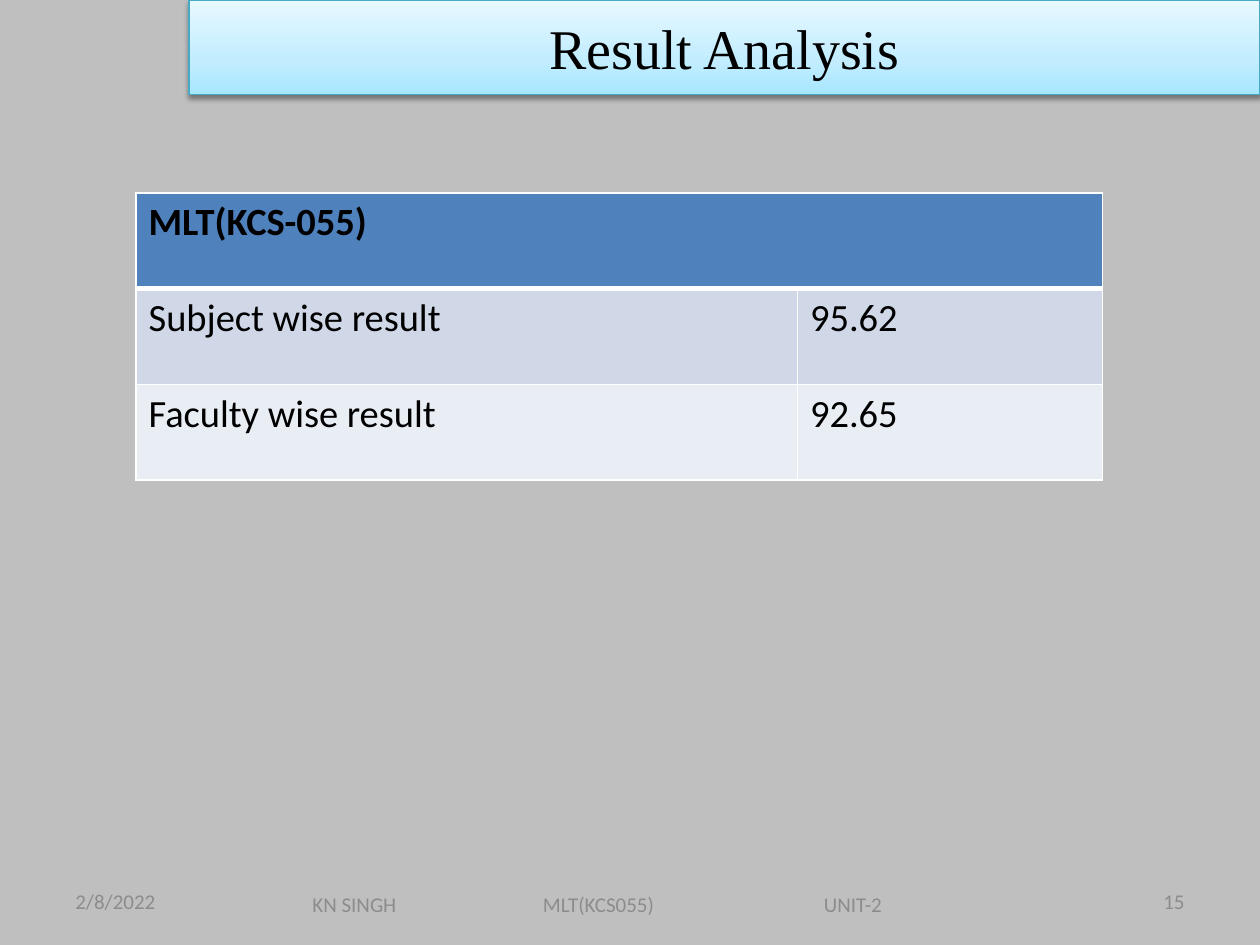
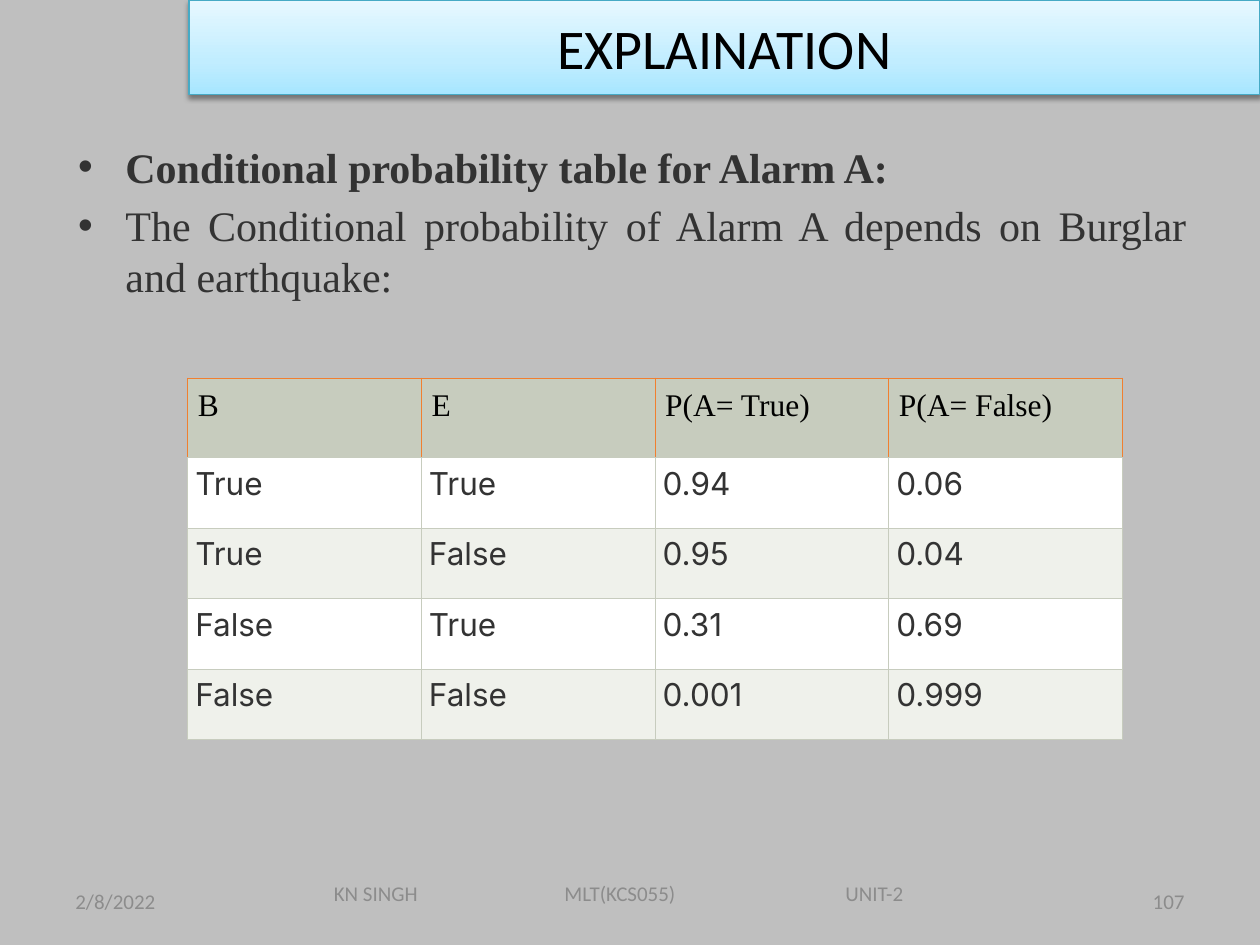
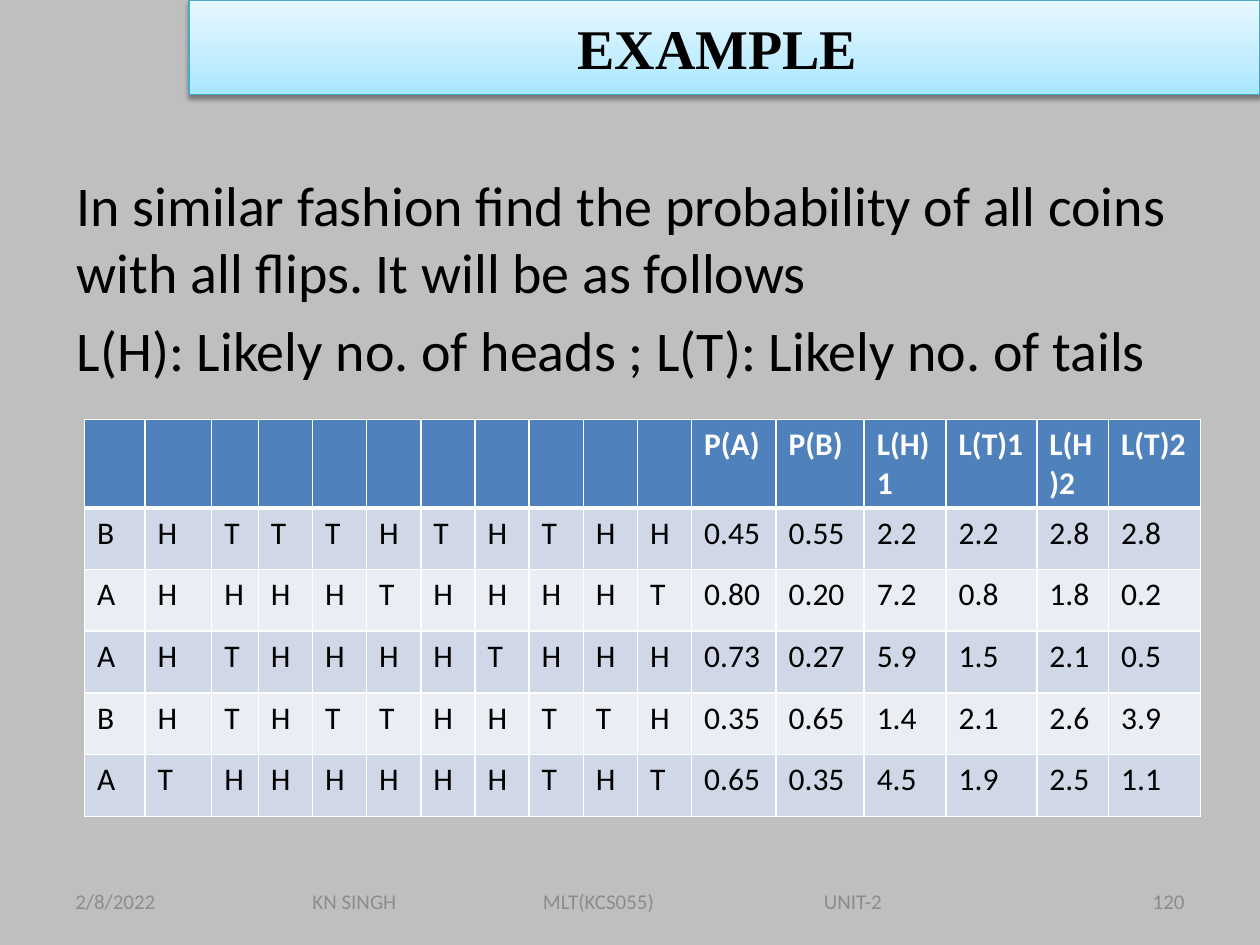
from dataclasses import dataclass

from lxml import etree
from pptx import Presentation
from pptx.dml.color import RGBColor
from pptx.enum.text import MSO_ANCHOR, MSO_AUTO_SIZE, PP_ALIGN
from pptx.oxml import parse_xml
from pptx.util import Inches, Pt

LEFT, CENTER, RIGHT, JUSTIFY = PP_ALIGN.LEFT, PP_ALIGN.CENTER, PP_ALIGN.RIGHT, PP_ALIGN.JUSTIFY
MIDDLE, NO_FIT = MSO_ANCHOR.MIDDLE, MSO_AUTO_SIZE.NONE
A = "http://schemas.openxmlformats.org/drawingml/2006/main"
TITLE_ONLY, TITLE_AND_BODY = 5, 1

# Shared look
CALIBRI, TIMES, INTER = "Calibri", "Times New Roman", "Inter"
BLACK, WHITE, CHARCOAL, FOOTER_GREY = "000000", "FFFFFF", "333333", "8C8C8C"
BACKGROUND, BAND_LINE = "BFBFBF", "46AAC5"
BAND_STOPS = ((0, "A7E6FF"), (35, "C1EDFF"), (100, "E7F8FF"))
BLUE, SAGE, ORANGE = "4F81BD", "C7CCBE", "F07F30"
FOOTER_DATE = "2/8/2022"
FOOTER_TEXT = "KN SINGH\tMLT(KCS055)\tUNIT-2"
FOOTER_TABS = (1.83, 4.06)

Box = tuple[float, float, float, float]


@dataclass(frozen=True)
class TextStyle:
    size: float
    font: str = CALIBRI
    color: str = BLACK
    bold: bool = False
    align: PP_ALIGN = LEFT


@dataclass(frozen=True)
class Border:
    color: str
    width: float


@dataclass(frozen=True)
class RowStyle:
    text: TextStyle
    fills: tuple[str, ...]
    side: Border
    top: Border
    bottom: Border
    margins: tuple[float, float] = (0.1, 0.05)


@dataclass(frozen=True)
class TableSpec:
    left: float
    top: float
    cols: list[float]
    heights: list[float]
    rows: list[list[str]]
    header: RowStyle
    body: RowStyle


@dataclass(frozen=True)
class FooterSpec:
    page: str
    box: Box
    text_left: float


def rgb(color: str) -> RGBColor:
    return RGBColor.from_string(color)


def a_xml(body: str):
    """Parse one DrawingML element, given without its namespace."""
    tag, rest = body.split(" ", 1)
    return parse_xml(f'{tag} xmlns:a="{A}" {rest}')


def style_paragraph(p, style: TextStyle) -> None:
    p.alignment = style.align
    p.font.size = Pt(style.size)
    p.font.name = style.font
    p.font.bold = style.bold
    p.font.color.rgb = rgb(style.color)


def place(sp, box: Box) -> None:
    sp.left, sp.top, sp.width, sp.height = map(Inches, box)


# Title band
def add_title(slide, text: str, font: str, bold: bool = False) -> None:
    sp = slide.shapes.title
    place(sp, (1.5, 0, 8.5, 0.75))
    stops = "".join(f'<a:gs pos="{pos * 1000}"><a:srgbClr val="{color}"/></a:gs>'
                    for pos, color in BAND_STOPS)
    props = sp.element.spPr
    props.append(a_xml(f'<a:gradFill rotWithShape="1"><a:gsLst>{stops}</a:gsLst>'
                       '<a:lin ang="16200000" scaled="0"/></a:gradFill>'))
    sp.line.color.rgb = rgb(BAND_LINE)
    sp.line.width = Pt(0.75)
    props.append(a_xml('<a:effectLst ><a:outerShdw blurRad="39400" dist="20300" dir="5400000" '
                       'rotWithShape="0"><a:srgbClr val="000000"><a:alpha val="38000"/>'
                       '</a:srgbClr></a:outerShdw></a:effectLst>'))
    tf = sp.text_frame
    tf.auto_size = NO_FIT
    tf.vertical_anchor = MIDDLE
    tf.text = text
    style_paragraph(tf.paragraphs[0], TextStyle(32, font, bold=bold, align=CENTER))


# Footer
def add_footer_box(slide, text: str, box: Box, align: PP_ALIGN = LEFT):
    tf = slide.shapes.add_textbox(*map(Inches, box)).text_frame
    tf.word_wrap = True
    tf.vertical_anchor = MIDDLE
    p = tf.paragraphs[0]
    p.text = text
    if "\t" in text:
        tabs = etree.SubElement(p._p.get_or_add_pPr(), f"{{{A}}}tabLst")
        for stop in FOOTER_TABS:
            etree.SubElement(tabs, f"{{{A}}}tab", pos=str(Inches(stop)), algn="l")
    style_paragraph(p, TextStyle(12, color=FOOTER_GREY, align=align))
    return tf


def add_footer(slide, spec: FooterSpec) -> None:
    add_footer_box(slide, FOOTER_DATE, (0.5, 6.95, 2.33, 0.4))
    add_footer_box(slide, spec.page, (7.17, 6.95, 2.33, 0.4), RIGHT)
    tf = add_footer_box(slide, FOOTER_TEXT, spec.box)
    tf.margin_left = Inches(spec.text_left - spec.box[0])


# Body text
def add_body(slide, box: Box, items: list[tuple[str, TextStyle]], bullets: bool) -> None:
    sp = slide.placeholders[1]
    place(sp, box)
    tf = sp.text_frame
    tf.auto_size = NO_FIT
    tf.margin_top = Inches(0.1)
    for i, (text, style) in enumerate(items):
        p = tf.add_paragraph() if i else tf.paragraphs[0]
        p.text = text
        p.space_before = Pt(style.size * 0.2 if i else 0)
        if not bullets:
            props = p._p.get_or_add_pPr()
            props.set("marL", "0")
            props.set("indent", "0")
            etree.SubElement(props, f"{{{A}}}buNone")
        style_paragraph(p, style)


# Tables
def style_cell(cell, style: RowStyle, fill: str) -> None:
    props = cell._tc.get_or_add_tcPr()
    edges = (("L", style.side), ("R", style.side), ("T", style.top), ("B", style.bottom))
    for edge, border in edges:
        props.append(a_xml(f'<a:ln{edge} w="{Pt(border.width)}"><a:solidFill>'
                           f'<a:srgbClr val="{border.color}"/></a:solidFill></a:ln{edge}>'))
    cell.fill.solid()
    cell.fill.fore_color.rgb = rgb(fill)
    cell.margin_left = cell.margin_right = Inches(style.margins[0])
    cell.margin_top = cell.margin_bottom = Inches(style.margins[1])
    style_paragraph(cell.text_frame.paragraphs[0], style.text)


def add_table(slide, spec: TableSpec):
    frame = slide.shapes.add_table(
        len(spec.rows), len(spec.cols), Inches(spec.left), Inches(spec.top),
        Inches(sum(spec.cols)), Inches(sum(spec.heights)))
    table = frame.table
    table.first_row = table.horz_banding = False
    for column, width in zip(table.columns, spec.cols):
        column.width = Inches(width)
    for r, (height, values) in enumerate(zip(spec.heights, spec.rows)):
        table.rows[r].height = Inches(height)
        style = spec.body if r else spec.header
        fill = style.fills[(r - 1) % len(style.fills)]
        for c, value in enumerate(values):
            cell = table.cell(r, c)
            cell.text = value
            style_cell(cell, style, fill)
    return table


def blue_styles(size: float, header_color: str) -> tuple[RowStyle, RowStyle]:
    thin, thick = Border(WHITE, 1), Border(WHITE, 3)
    header = RowStyle(TextStyle(size, color=header_color, bold=True), (BLUE,), thin, thin, thick)
    body = RowStyle(TextStyle(size), ("D0D8E8", "E9EDF4"), thin, thin, thin)
    return header, body


# Slides
def result_slide(prs) -> None:
    slide = prs.slides.add_slide(prs.slide_layouts[TITLE_ONLY])
    add_title(slide, "Result Analysis", TIMES)
    add_footer(slide, FooterSpec("15", (1.5, 7, 6.5, 0.35), 2.48))
    rows = [["MLT(KCS-055)", ""],
            ["Subject wise result", "95.62"],
            ["Faculty wise result", "92.65"]]
    table = add_table(slide, TableSpec(1.08, 1.53, [5.25, 2.42], [0.76] * 3, rows,
                                       *blue_styles(22, BLACK)))
    table.cell(0, 0).merge(table.cell(0, 1))


def alarm_slide(prs) -> None:
    slide = prs.slides.add_slide(prs.slide_layouts[TITLE_AND_BODY])
    add_title(slide, "EXPLAINATION", CALIBRI)
    add_body(slide, (0.52, 1.02, 9, 4.95), [
        ("Conditional probability table for Alarm A:",
         TextStyle(24, TIMES, CHARCOAL, True, JUSTIFY)),
        ("The Conditional probability of Alarm A depends on Burglar and earthquake:",
         TextStyle(24, TIMES, CHARCOAL, False, JUSTIFY)),
    ], bullets=True)
    add_footer(slide, FooterSpec("107", (2.25, 6.83, 5.33, 0.52), 2.65))
    sage, orange = Border(SAGE, 0.5), Border(ORANGE, 0.5)
    header = RowStyle(TextStyle(18, TIMES), (SAGE,), orange, orange, sage, (0.08, 0.08))
    body = RowStyle(TextStyle(18, INTER, CHARCOAL, align=JUSTIFY), (WHITE, "EFF1EB"),
                    sage, sage, sage, (0.06, 0.06))
    rows = [["B", "E", "P(A= True)", "P(A= False)"],
            ["True", "True", "0.94", "0.06"],
            ["True", "False", "0.95", "0.04"],
            ["False", "True", "0.31", "0.69"],
            ["False", "False", "0.001", "0.999"]]
    add_table(slide, TableSpec(1.49, 3, [7.42 / 4] * 4, [0.63] + [0.56] * 4, rows, header, body))


def coins_slide(prs) -> None:
    slide = prs.slides.add_slide(prs.slide_layouts[TITLE_AND_BODY])
    add_title(slide, "EXAMPLE ", TIMES, bold=True)
    add_body(slide, (0.51, 1.25, 9, 5.5), [
        ("In similar fashion find the probability of all coins with all flips. "
         "It will be as follows", TextStyle(32)),
        ("L(H): Likely no. of heads ; L(T): Likely no. of tails", TextStyle(32)),
    ], bullets=False)
    add_footer(slide, FooterSpec("120", (2, 6.95, 5.5, 0.4), 2.48))
    trials = [("B", "HTTTHTHTHH", "0.45 0.55 2.2 2.2 2.8 2.8"),
              ("A", "HHHHTHHHHT", "0.80 0.20 7.2 0.8 1.8 0.2"),
              ("A", "HTHHHHTHHH", "0.73 0.27 5.9 1.5 2.1 0.5"),
              ("B", "HTHTTHHTTH", "0.35 0.65 1.4 2.1 2.6 3.9"),
              ("A", "THHHHHHTHT", "0.65 0.35 4.5 1.9 2.5 1.1")]
    rows = [[""] * 11 + ["P(A)", "P(B)", "L(H)1", "L(T)1", "L(H)2", "L(T)2"]]
    rows += [[coin, *flips, *values.split()] for coin, flips, values in trials]
    cols = [0.48, 0.53, 0.37] + [0.43] * 8 + [0.67, 0.7, 0.65, 0.72, 0.57, 0.73]
    add_table(slide, TableSpec(0.67, 3.33, cols, [0.49] * 6, rows, *blue_styles(18, WHITE)))


def main() -> None:
    prs = Presentation()
    prs.slide_width, prs.slide_height = Inches(10), Inches(7.5)
    fill = prs.slide_master.background.fill
    fill.solid()
    fill.fore_color.rgb = rgb(BACKGROUND)
    result_slide(prs)
    alarm_slide(prs)
    coins_slide(prs)
    prs.save("out.pptx")


if __name__ == "__main__":
    main()
